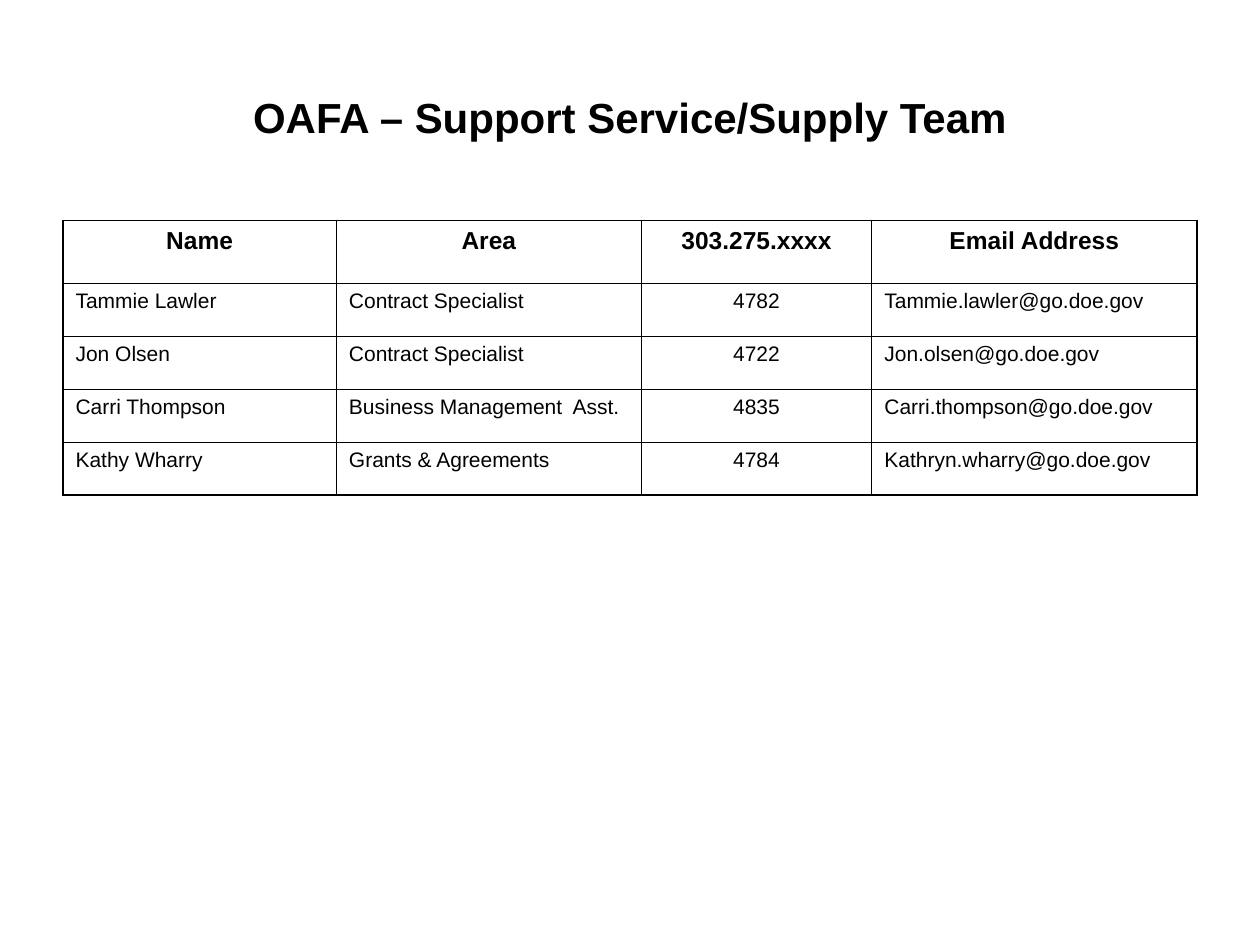
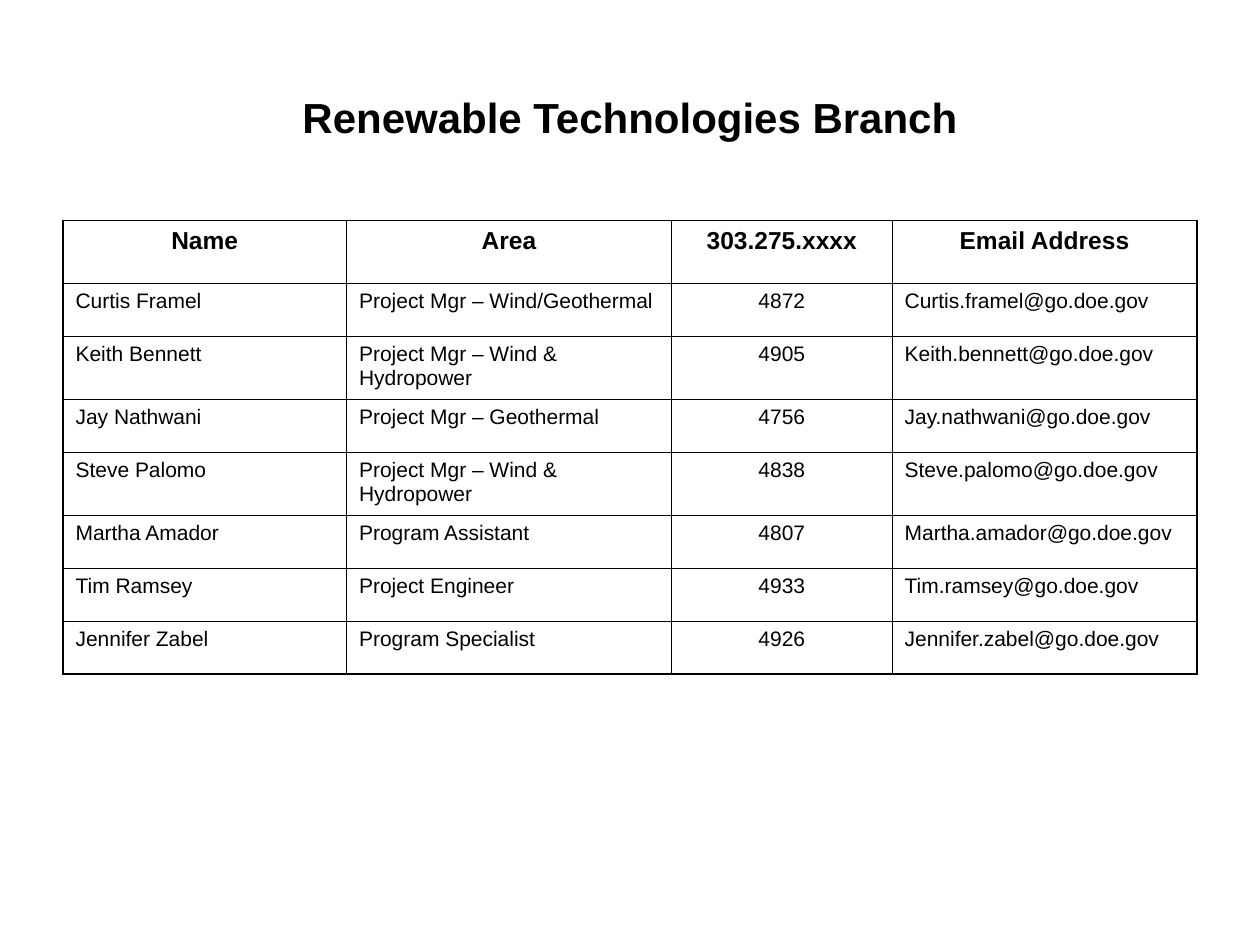
from lxml.etree import SubElement
from pptx import Presentation
from pptx.dml.color import RGBColor
from pptx.enum.text import MSO_ANCHOR, PP_ALIGN
from pptx.oxml.ns import qn
from pptx.util import Inches, Pt

HEADINGS = ("Name", "Area", "303.275.xxxx", "Email Address")
TEAMS = [
    {
        "title": "OAFA – Support Service/Supply Team",
        "column_widths": (2.17, 2.42, 1.83, 2.58),
        "members": [
            ("Tammie Lawler", "Contract Specialist", "4782", "Tammie.lawler@go.doe.gov"),
            ("Jon Olsen", "Contract Specialist", "4722", "Jon.olsen@go.doe.gov"),
            ("Carri Thompson", "Business Management  Asst.", "4835", "Carri.thompson@go.doe.gov"),
            ("Kathy Wharry", "Grants & Agreements", "4784", "Kathryn.wharry@go.doe.gov"),
        ],
    },
    {
        "title": "Renewable Technologies Branch",
        "column_widths": (2.25, 2.58, 1.75, 2.42),
        "members": [
            ("Curtis Framel", "Project Mgr – Wind/Geothermal", "4872", "Curtis.framel@go.doe.gov"),
            ("Keith Bennett", "Project Mgr – Wind & Hydropower", "4905", "Keith.bennett@go.doe.gov"),
            ("Jay Nathwani", "Project Mgr – Geothermal", "4756", "Jay.nathwani@go.doe.gov"),
            ("Steve Palomo", "Project Mgr – Wind & Hydropower", "4838", "Steve.palomo@go.doe.gov"),
            ("Martha Amador", "Program Assistant", "4807", "Martha.amador@go.doe.gov"),
            ("Tim Ramsey", "Project Engineer", "4933", "Tim.ramsey@go.doe.gov"),
            ("Jennifer Zabel", "Program Specialist", "4926", "Jennifer.zabel@go.doe.gov"),
        ],
    },
]

FONT = "Arial"
INK = "000000"
PAPER = "FFFFFF"
LEFT, WIDTH = 0.5, 9
TITLE_TOP, TITLE_HEIGHT = 0.3, 1.25
TABLE_TOP = 1.75
ROW_HEIGHT, TALL_ROW_HEIGHT = 0.42, 0.5
ONE_LINE_LIMIT = 30  # longest area, in characters, that stays on one line
PHONE_COLUMN = 2
OUTER_LINE, INNER_LINE = 1.08, 0.45


def color(hex_code):
    return RGBColor.from_string(hex_code)


def write(frame, text, size, bold, align):
    para = frame.paragraphs[0]
    para.alignment = align
    span = para.add_run()
    span.text = text
    span.font.name = FONT
    span.font.size = Pt(size)
    span.font.bold = bold
    span.font.color.rgb = color(INK)


def add_title(page, text):
    box = page.shapes.add_textbox(
        Inches(LEFT), Inches(TITLE_TOP), Inches(WIDTH), Inches(TITLE_HEIGHT))
    box.text_frame.word_wrap = True
    box.text_frame.vertical_anchor = MSO_ANCHOR.MIDDLE
    write(box.text_frame, text, 24, True, PP_ALIGN.CENTER)


def set_borders(cell, outer_sides):
    """Draw all four cell borders, heavier where outer_sides is true (L, R, T, B)."""
    properties = cell._tc.get_or_add_tcPr()
    for side, is_outer in zip("LRTB", outer_sides):
        width = Pt(OUTER_LINE if is_outer else INNER_LINE)
        line = SubElement(properties, qn(f"a:ln{side}"), w=str(width))
        fill = SubElement(line, qn("a:solidFill"))
        SubElement(fill, qn("a:srgbClr"), val=INK)


def row_height(row_number, row):
    is_tall = row_number == 0 or len(row[1]) > ONE_LINE_LIMIT
    return TALL_ROW_HEIGHT if is_tall else ROW_HEIGHT


def add_contact_table(page, members, column_widths):
    rows = [HEADINGS, *members]
    heights = [row_height(number, row) for number, row in enumerate(rows)]
    table = page.shapes.add_table(
        len(rows), len(HEADINGS), Inches(LEFT), Inches(TABLE_TOP),
        Inches(WIDTH), Inches(sum(heights))).table
    table.first_row = table.horz_banding = False
    for column, width in zip(table.columns, column_widths):
        column.width = Inches(width)
    last_row, last_column = len(rows) - 1, len(HEADINGS) - 1
    for r, row in enumerate(rows):
        table.rows[r].height = Inches(heights[r])
        is_heading = r == 0
        for c, text in enumerate(row):
            cell = table.cell(r, c)
            set_borders(cell, (c == 0, c == last_column, r == 0, r == last_row))
            cell.fill.background()
            centered = is_heading or c == PHONE_COLUMN
            write(cell.text_frame, text, 14 if is_heading else 12, is_heading,
                  PP_ALIGN.CENTER if centered else PP_ALIGN.LEFT)


def main():
    deck = Presentation()
    deck.slide_width, deck.slide_height = Inches(10), Inches(7.5)
    for team in TEAMS:
        page = deck.slides.add_slide(deck.slide_layouts[6])
        page.background.fill.solid()
        page.background.fill.fore_color.rgb = color(PAPER)
        add_title(page, team["title"])
        add_contact_table(page, team["members"], team["column_widths"])
    deck.save("out.pptx")


if __name__ == "__main__":
    main()
